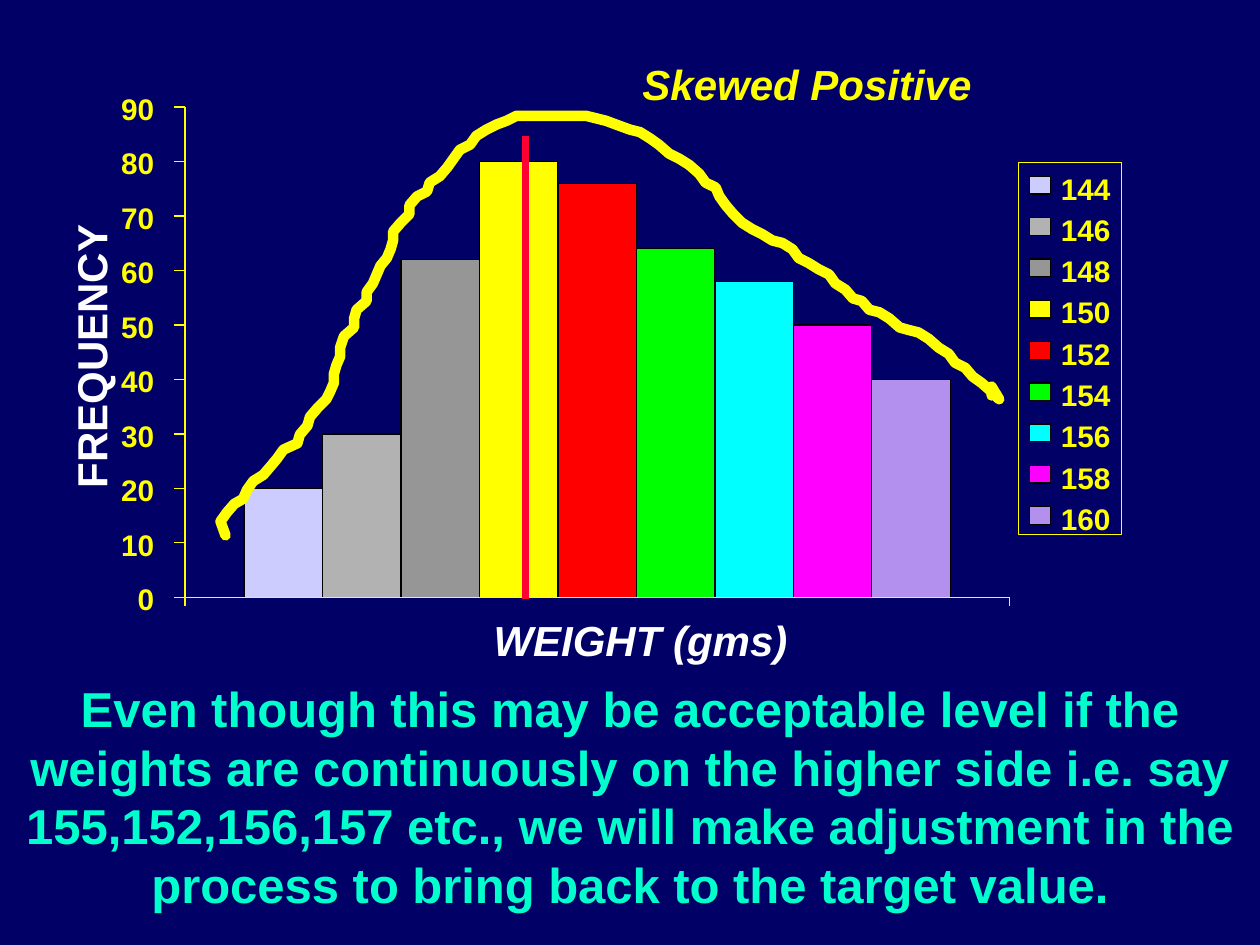
from lxml import etree
from pptx import Presentation
from pptx.dml.color import RGBColor
from pptx.enum import shapes, text
from pptx.oxml.ns import qn
from pptx.util import Pt

COLORS = {
    "background": "000066", "yellow": "FFFF00", "white": "FFFFFF",
    "black": "000000", "message": "00FFCC", "target": "FF0033",
}
BARS = [
    ("144", 20, "CCCCFF"), ("146", 30, "B2B2B2"), ("148", 62, "969696"),
    ("150", 80, "FFFF00"), ("152", 76, "FF0000"), ("154", 64, "00FF00"),
    ("156", 58, "00FFFF"), ("158", 50, "FF00FF"), ("160", 40, "B38FEE"),
]
AXIS_MAX, AXIS_STEP = 90, 10
DIGIT_WIDTH, LABEL_HEIGHT = 9.5, 20.2
CURVE_UNIT = Pt(0.72)
CURVE = [
    (4, 333), (0, 322), (5, 315), (11, 308), (18, 304), (21, 297), (26, 290),
    (34, 285), (40, 278), (45, 272), (50, 265), (61, 260), (63, 253), (69, 246),
    (71, 239), (77, 232), (84, 225), (87, 219), (90, 212), (90, 205), (92, 198),
    (95, 191), (95, 184), (98, 175), (106, 168), (106, 161), (108, 154),
    (116, 147), (116, 140), (121, 133), (124, 126), (127, 119), (132, 113),
    (135, 106), (137, 99), (137, 92), (143, 85), (150, 78), (150, 71), (156, 64),
    (164, 60), (166, 53), (174, 48), (180, 41), (185, 34), (190, 27), (198, 23),
    (203, 16), (211, 11), (219, 7), (227, 4), (235, 0), (243, 0), (251, 0),
    (259, 0), (272, 0), (280, 0), (290, 0), (298, 2), (306, 4), (314, 7),
    (325, 11), (333, 13), (341, 18), (348, 23), (356, 30), (364, 34), (372, 39),
    (380, 46), (385, 53), (393, 57), (396, 64), (401, 71), (407, 78), (414, 85),
    (422, 90), (430, 94), (438, 99), (446, 101), (454, 106), (459, 113),
    (467, 117), (475, 122), (483, 126), (488, 133), (496, 138), (502, 145),
    (509, 147), (515, 154), (523, 156), (531, 161), (539, 168), (546, 170),
    (554, 172), (562, 177), (570, 184), (578, 189), (583, 196), (591, 200),
    (597, 207), (604, 212), (612, 219), (618, 225), (612, 215), (612, 222),
]


def rgb(name):
    return RGBColor.from_string(COLORS.get(name, name))


def style_line(line, color, width):
    line.color.rgb = rgb(color)
    line.width = Pt(width)


def add_rect(s, box, line_color, fill=None):
    sp = s.shapes.add_shape(shapes.MSO_SHAPE.RECTANGLE, *map(Pt, box))
    sp.shadow.inherit = False
    if fill:
        sp.fill.solid()
        sp.fill.fore_color.rgb = rgb(fill)
    else:
        sp.fill.background()
    style_line(sp.line, line_color, 0.75)


def add_line(s, x1, y1, x2, y2, color="yellow", width=0.75):
    line = s.shapes.add_connector(
        shapes.MSO_CONNECTOR.STRAIGHT, Pt(x1), Pt(y1), Pt(x2), Pt(y2))
    style_line(line.line, color, width)
    etree.SubElement(line._element.spPr, qn("a:effectLst"))


def add_label(s, box, label, size, color, italic=False, wrap=True, centered=True):
    tb = s.shapes.add_textbox(*map(Pt, box))
    tf = tb.text_frame
    tf.word_wrap = wrap
    p = tf.paragraphs[0]
    p.text = label
    p.alignment = text.PP_ALIGN.CENTER if centered else text.PP_ALIGN.LEFT
    font = p.font
    font.name, font.size, font.bold, font.italic = "Arial", Pt(size), True, italic
    font.color.rgb = rgb(color)
    return tb


def add_number(s, x, y, label):
    box = (x, y, DIGIT_WIDTH * len(label), LABEL_HEIGHT)
    tf = add_label(s, box, label, 17, "yellow", wrap=False, centered=False).text_frame
    tf.margin_left = tf.margin_top = tf.margin_right = tf.margin_bottom = 0


def add_bars(s, left, top, width, height):
    bar_width = width / (len(BARS) + 1.5)
    for i, (_, value, color) in enumerate(BARS):
        bar_height = height * value / AXIS_MAX
        add_rect(s, (left + (i + 0.75) * bar_width, top + height - bar_height,
                     bar_width, bar_height), "black", color)


def add_axes(s, left, top, width, height):
    bottom = top + height
    add_line(s, left, top, left, bottom)
    for value in range(0, AXIS_MAX + 1, AXIS_STEP):
        y = bottom - height * value / AXIS_MAX
        label = str(value)
        add_line(s, left - 6.4, y, left, y)
        add_number(s, left - 17.6 - DIGIT_WIDTH * len(label), y - 9.4, label)
    add_line(s, left, bottom, left + width, bottom)
    for x in (left, left + width):
        add_line(s, x, bottom + 5, x, bottom)


def add_legend(s, left, top, width, height):
    add_rect(s, (left, top, width, height), "yellow")
    step = height / len(BARS)
    for i, (name, _, color) in enumerate(BARS):
        y = top + i * step
        add_rect(s, (left + 6.4, y + 7.9, 12.2, 10.1), "black", color)
        add_number(s, left + 24.4, y + 4.4, name)


def add_curve(s, left, top):
    builder = s.shapes.build_freeform(*CURVE[0], scale=CURVE_UNIT)
    builder.add_line_segments(CURVE[1:], close=False)
    sp = builder.convert_to_shape(Pt(left), Pt(top))
    sp.shadow.inherit = False
    sp.fill.background()
    style_line(sp.line, "yellow", 6)
    ln = sp.line._get_or_add_ln()
    ln.set("cap", "rnd")
    etree.SubElement(ln, qn("a:round"))


def add_chart_region(s, left, top):
    plot = (left + 47.8, top + 18.2, 470.9, 280.1)
    add_label(s, (left + 68, top + 304.8, 480, 36), "WEIGHT (gms)", 24, "white", italic=True)
    add_bars(s, *plot)
    add_axes(s, *plot)
    add_legend(s, left + 523.8, top + 49.9, 59, 212.4)
    axis_title = add_label(s, (left - 89, top + 142.8, 165.6, 36),
                           "FREQUENCY", 24, "white", wrap=False)
    axis_title.rotation = 270
    add_curve(s, left + 68, top + 23.2)
    add_line(s, left + 242.2, top + 34.8, left + 242.2, top + 299, "target", 4)
    add_label(s, (left + 302, top - 12.8, 202.3, 36),
              "Skewed Positive", 24, "yellow", italic=True, wrap=False)


def add_message(s, *box):
    add_label(
        s, box,
        "Even though this may be acceptable level if the weights are continuously "
        "on the higher side i.e. say 155,152,156,157 etc., we will make adjustment "
        "in the process to bring back to the target value.", 28, "message")


def main():
    prs = Presentation()
    prs.slide_width, prs.slide_height = Pt(720), Pt(540)
    s = prs.slides.add_slide(prs.slide_layouts[6])
    s.background.fill.solid()
    s.background.fill.fore_color.rgb = rgb("background")
    add_message(s, 0, 384, 720, 142)
    add_chart_region(s, 58, 43)
    prs.save("out.pptx")


if __name__ == "__main__":
    main()
